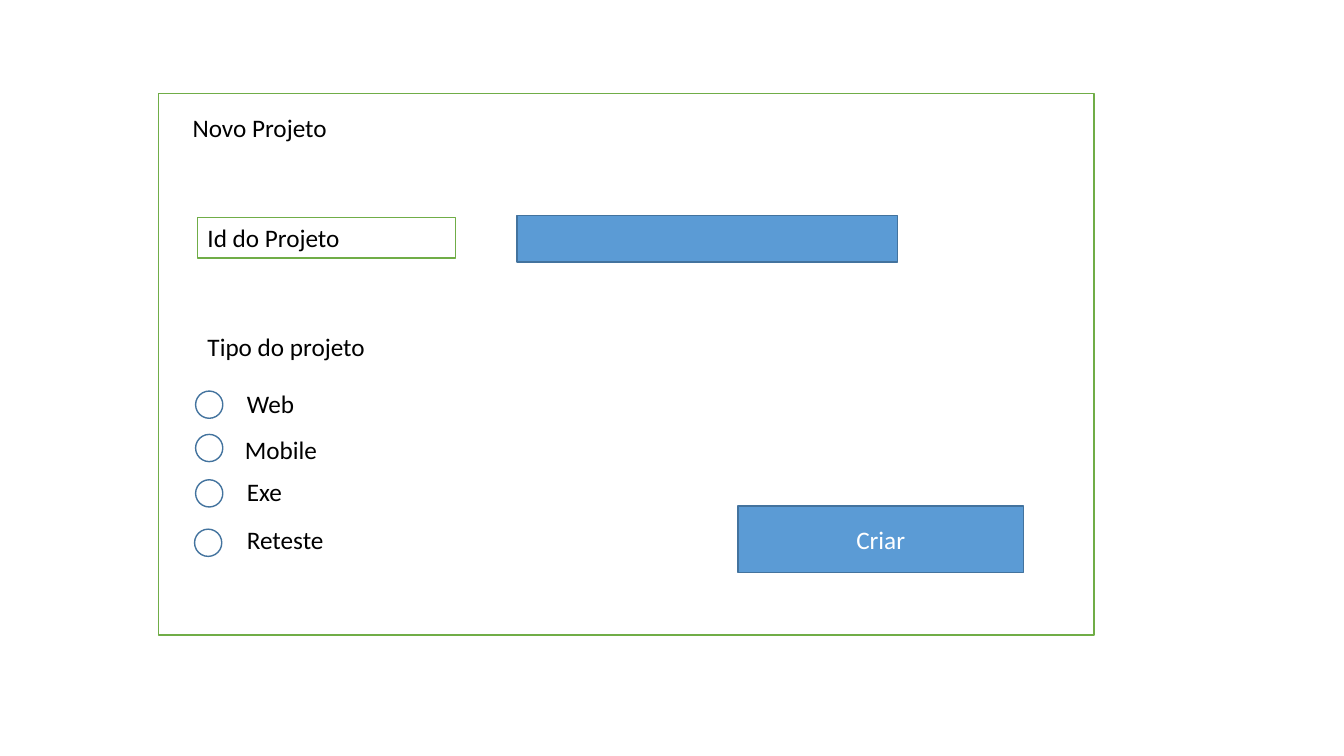
from pptx import Presentation
from pptx.dml.color import RGBColor
from pptx.enum.shapes import MSO_SHAPE as Preset
from pptx.enum.text import MSO_ANCHOR as Anchor, MSO_AUTO_SIZE as AutoSize, PP_ALIGN as Align
from pptx.util import Inches, Pt

COLORS = {
    "white": "FFFFFF",
    "black": "000000",
    "green": "70AD47",
    "blue": "5B9BD5",
    "dark_blue": "43739E",
}
TITLE_ONLY = 5


def color(name):
    return RGBColor.from_string(COLORS[name])


def write_text(shape, text, font="Calibri", size=18, ink="black",
               align=Align.LEFT, anchor=Anchor.TOP):
    frame = shape.text_frame
    frame.word_wrap = True
    frame.auto_size = AutoSize.NONE
    frame.vertical_anchor = anchor
    frame.margin_left = frame.margin_right = Inches(0.1)
    frame.margin_top = frame.margin_bottom = Inches(0.05)
    paragraph = frame.paragraphs[0]
    paragraph.alignment = align
    run = paragraph.add_run()
    run.text = text
    run.font.name = font
    run.font.size = Pt(size)
    run.font.color.rgb = color(ink)


class FormSlide:
    """Holds the current slide and the style of its form elements."""

    line_width = Pt(1)
    row_height = 0.4
    radio_size = 0.27

    def __init__(self, slide):
        self.slide = slide

    def box(self, left, top, width, height, fill="white", line="green", preset=Preset.RECTANGLE):
        shape = self.slide.shapes.add_shape(
            preset, Inches(left), Inches(top), Inches(width), Inches(height))
        shape.shadow.inherit = False
        shape.fill.solid()
        shape.fill.fore_color.rgb = color(fill)
        shape.line.color.rgb = color(line)
        shape.line.width = self.line_width
        return shape

    def title(self, text, left, top, width):
        title = self.slide.shapes.title
        title.left, title.top = Inches(left), Inches(top)
        title.width, title.height = Inches(width), Inches(self.row_height)
        write_text(title, text)
        # Bring the title in front of the panel
        title.element.getparent().append(title.element)

    def label(self, text, left, top, width):
        label = self.slide.shapes.add_textbox(
            Inches(left), Inches(top), Inches(width), Inches(self.row_height))
        write_text(label, text)

    def radio(self, left, top):
        self.box(left, top, self.radio_size, self.radio_size,
                 line="dark_blue", preset=Preset.OVAL)


presentation = Presentation()
presentation.slide_width = Inches(13.33)
presentation.slide_height = Inches(7.5)
form = FormSlide(presentation.slides.add_slide(presentation.slide_layouts[TITLE_ONLY]))

# Panel and heading
form.box(1.57, 0.93, 9.28, 5.37)
form.title("Novo Projeto", 1.81, 1.06, 3.83)

# Project id: caption and input field
caption = form.box(1.96, 2.16, 2.56, form.row_height)
write_text(caption, "Id do Projeto")
form.box(5.13, 2.14, 3.77, 0.46, fill="blue", line="dark_blue")

# Project type: one radio button and label per option
form.label("Tipo do projeto", 1.96, 3.24, 2.56)
options = [
    # text, radio left, radio top, label left, label top
    ("Web", 1.94, 3.88, 2.35, 3.8),
    ("Mobile", 1.94, 4.31, 2.33, 4.26),
    ("Exe", 1.94, 4.76, 2.35, 4.68),
    ("Reteste", 1.93, 5.25, 2.35, 5.15),
]
for text, radio_left, radio_top, label_left, label_top in options:
    form.radio(radio_left, radio_top)
    form.label(text, label_left, label_top, 2.89)

# Create button
button = form.box(7.32, 5.02, 2.83, 0.66, fill="blue", line="dark_blue")
write_text(button, "Criar", ink="white", align=Align.CENTER, anchor=Anchor.MIDDLE)

presentation.save("out.pptx")
